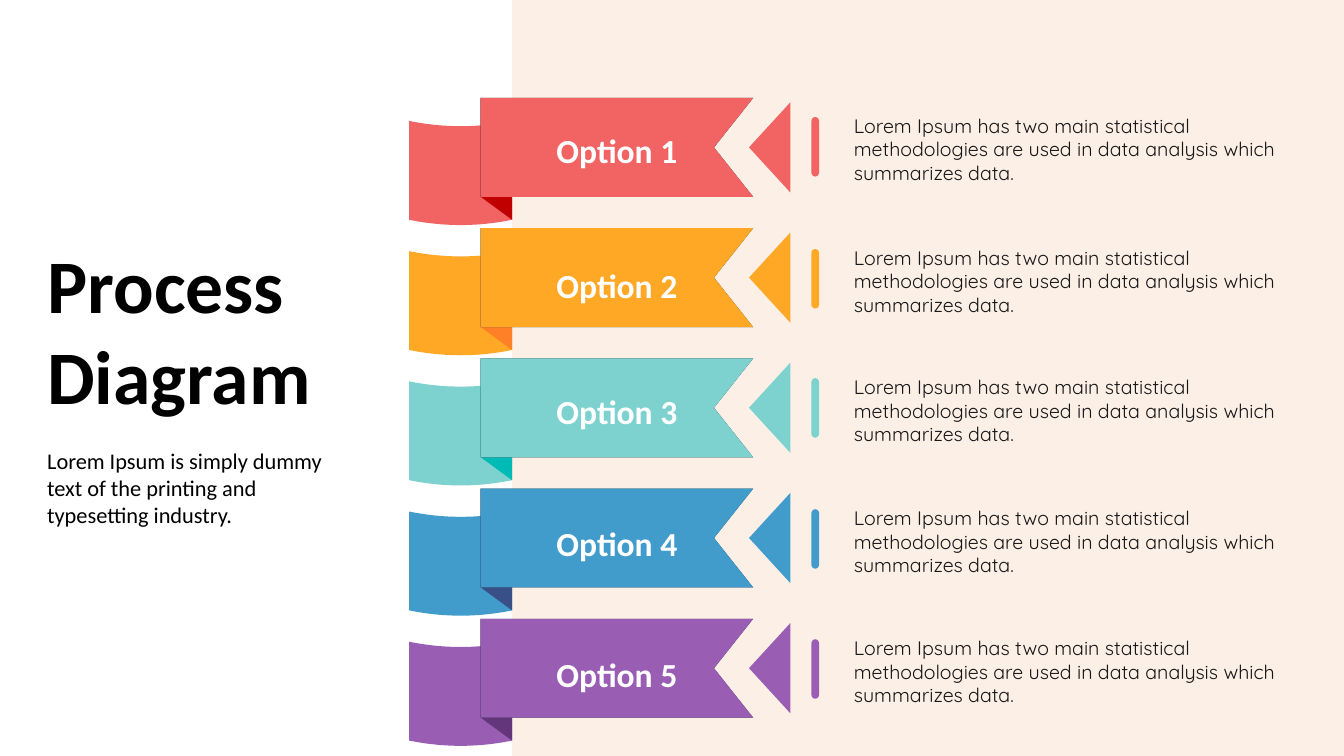
from lxml.etree import SubElement as Sub
from pptx import Presentation
from pptx.dml.color import RGBColor as Color
from pptx.enum.shapes import MSO_SHAPE as Form
from pptx.enum.text import MSO_ANCHOR as Anchor, MSO_AUTO_SIZE as Fit, PP_ALIGN as Align
from pptx.oxml.ns import qn
from pptx.util import Pt

HUES = {
    "black": "000000", "white": "FFFFFF", "ink": "181717", "shade": "162F3C", "peach": "FBE5D6",
    "red": "F26363", "red fold": "C00000",
    "gold": "FFA826", "gold fold": "FF8026",
    "mint": "7DD1CE", "mint fold": "00BAB5",
    "blue": "419CCC", "blue fold": "385085",
    "plum": "995DB3", "plum fold": "63357A",
}
NOTE = "Lorem Ipsum has two main statistical methodologies are used in data analysis which summarizes data."
ROWS = [
    ("red", 85.7, 72.7),
    ("gold", 182.2, 167),
    ("mint", 272.2, 259.2),
    ("blue", 366.5, 352.8),
    ("plum", 460.1, 445.7),
]
TOP, STEP, TALL = 70, 93, 70.6
LEFT, FRONT, EDGE = 292.3, 343.4, 365.8
DROP, SAG, CUTS = 16.4, 5, 24


class Page:
    """Holds the style and the slide, and draws each kind of element."""

    def __init__(self, deck):
        self.slide = deck.slides.add_slide(deck.slide_layouts[5])
        self.shapes = self.slide.shapes

    def paint(self, shape, hue):
        shape.fill.solid()
        shape.fill.fore_color.rgb = Color.from_string(HUES[hue])
        shape.line.fill.background()
        shape.shadow.inherit = False
        return shape

    def block(self, form, area, hue):
        return self.paint(self.shapes.add_shape(form, *map(Pt, area)), hue)

    def panel(self, area, hue, alpha):
        shape = self.block(Form.RECTANGLE, area, hue)
        tone = next(shape.element.spPr.iter(qn("a:srgbClr")))
        Sub(tone, qn("a:alpha"), val=str(alpha * 1000))

    def bar(self, area, hue):
        shape = self.block(Form.ROUND_2_SAME_RECTANGLE, area, hue)
        shape.adjustments[0] = shape.adjustments[1] = 0.5

    def outline(self, points, hue):
        start, *rest = [(Pt(x), Pt(y)) for x, y in points]
        pen = self.shapes.build_freeform(*start)
        pen.add_line_segments(rest, close=True)
        self.paint(pen.convert_to_shape(), hue)

    def fill_text(self, box, text, size, hue, face="Calibri", bold=False,
                  align=Align.LEFT, inset=(7.2, 3.6), wrap=True, fit=Fit.SHAPE_TO_FIT_TEXT):
        frame = box.text_frame
        frame.word_wrap, frame.auto_size = wrap, fit
        frame.vertical_anchor = Anchor.TOP
        frame.margin_left = frame.margin_right = Pt(inset[0])
        frame.margin_top = frame.margin_bottom = Pt(inset[1])
        para = frame.paragraphs[0]
        para.alignment = align
        run = para.add_run()
        run.text = text
        font = run.font
        font.name, font.size, font.bold = face, Pt(size), bold
        font.color.rgb = Color.from_string(HUES[hue])

    def title(self, area, text):
        box = self.shapes.title
        box.left, box.top, box.width, box.height = map(Pt, area)
        self.fill_text(box, text, 54, "black", bold=True, fit=Fit.NONE)

    def text(self, area, text, size, hue, **style):
        self.fill_text(self.shapes.add_textbox(*map(Pt, area)), text, size, hue, **style)

    def ribbon(self, top, hue):
        base, back = top + TALL, top + DROP
        wave = [(LEFT + (EDGE - LEFT) * t, back + 3 * SAG * t * (1 - t))
                for t in (i / CUTS for i in range(CUTS + 1))]
        self.outline(wave + [(x, y + TALL) for x, y in reversed(wave)], hue)
        self.outline([(EDGE, back + TALL), (FRONT, base), (FRONT, top), (EDGE, back)], hue + " fold")
        mid = top + TALL / 2
        flag = [(538, base), (FRONT, base), (FRONT, top), (538, top), (510, mid)]
        for tone in ("shade", hue):
            self.outline(flag, tone)
        self.outline([(564.5, mid + 32.2), (535, mid), (564.5, mid - 32.2)], hue)


def main():
    deck = Presentation()
    deck.slide_width, deck.slide_height = Pt(960), Pt(540)
    page = Page(deck)
    page.panel((EDGE, 0, 960 - EDGE, 540), "peach", 60)
    page.title((26.6, 166.3, 210.2, 138.2), "Process Diagram")
    page.text((26.6, 316, 231, 65.5),
              "Lorem Ipsum is simply dummy text of the printing and typesetting industry.", 16, "black")
    for i, (hue, label, note) in enumerate(ROWS):
        page.ribbon(TOP + i * STEP, hue)
        page.text((380.9, label, 119.5, 44.6), f"Option {i + 1}", 24, "white", bold=True,
                  align=Align.CENTER, inset=(14.4, 7.2), wrap=False)
        page.bar((579.6, note + 10.9, 5.4, 42.5), hue)
        page.text((592.6, note, 345.6, 68.4), NOTE, 14, "ink", face="Quicksand", inset=(17.3, 8.6))
    deck.save("out.pptx")


if __name__ == "__main__":
    main()
